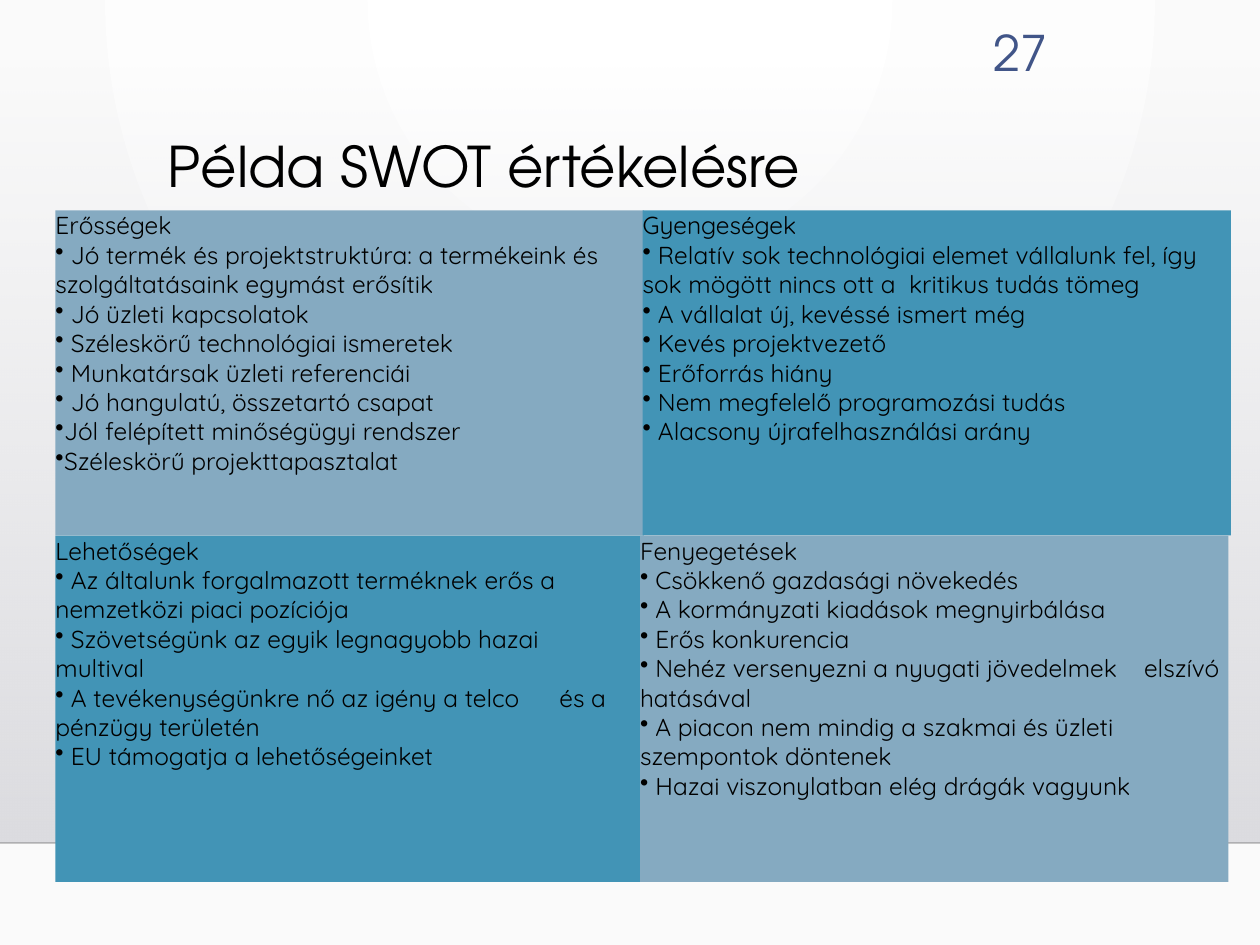
from dataclasses import dataclass

from lxml import etree
from pptx import Presentation
from pptx.dml.color import RGBColor
from pptx.enum.shapes import MSO_CONNECTOR as CONN, MSO_SHAPE as SHAPE
from pptx.enum.text import MSO_ANCHOR as ANCHOR, PP_ALIGN as ALIGN
from pptx.oxml import parse_xml
from pptx.oxml.ns import nsdecls, qn
from pptx.util import Inches, Pt


@dataclass(frozen=True)
class Theme:
    """Colours, fonts and type sizes of the slide."""
    ink: str = "000000"
    number: str = "415588"
    quadrants: tuple = ("85AAC1", "4294B6")
    backdrop: tuple = (("FFFFFF", 100), ("FAFAFA", 100))
    panel: tuple = (("DCDCE0", 0), ("DEDEE2", 100))
    rule: str = "000001"
    head_font: str = "TeX Gyre Adventor"
    body_font: str = "Quicksand"
    title_size: int = 32
    number_size: int = 28
    body_size: int = 14


THEME = Theme()
WIDTH, HEIGHT = 10, 7.5
FLOOR = 6.69
GRID_LEFT, COL_WIDTH = 0.44, 4.67
ROWS = ((1.67, 2.58, 4.66), (4.25, 2.75, 4.64))  # top, height, column step

SWOT = (
    (("Erősségek",
      " Jó termék és projektstruktúra: a termékeink és szolgáltatásaink egymást erősítik",
      " Jó üzleti kapcsolatok",
      " Széleskörű technológiai ismeretek",
      " Munkatársak üzleti referenciái",
      " Jó hangulatú, összetartó csapat",
      "Jól felépített minőségügyi rendszer",
      "Széleskörű projekttapasztalat"),
     ("Gyengeségek",
      " Relatív sok technológiai elemet vállalunk fel, így sok mögött nincs ott a  kritikus tudás tömeg",
      " A vállalat új, kevéssé ismert még",
      " Kevés projektvezető",
      " Erőforrás hiány",
      " Nem megfelelő programozási tudás",
      " Alacsony újrafelhasználási arány")),
    (("Lehetőségek",
      " Az általunk forgalmazott terméknek erős a nemzetközi piaci pozíciója",
      " Szövetségünk az egyik legnagyobb hazai \tmultival",
      " A tevékenységünkre nő az igény a telco \tés a pénzügy területén",
      " EU támogatja a lehetőségeinket"),
     ("Fenyegetések",
      " Csökkenő gazdasági növekedés",
      " A kormányzati kiadások megnyirbálása",
      " Erős konkurencia",
      " Nehéz versenyezni a nyugati jövedelmek \telszívó hatásával",
      " A piacon nem mindig a szakmai és üzleti \tszempontok döntenek",
      " Hazai viszonylatban elég drágák vagyunk")),
)


def box(left, top, width, height):
    """Convert a box in inches to slide units."""
    return [Inches(v) for v in (left, top, width, height)]


def set_font(p, name, size, color):
    """Format a whole paragraph."""
    p.font.name, p.font.size = name, Pt(size)
    p.font.color.rgb = RGBColor.from_string(color)


def set_gradient(fill_parent, stops, direction):
    """Replace the solid fill of an element by a gradient."""
    marks = "".join(
        f'<a:gs pos="{i * 100000}"><a:srgbClr val="{color}">'
        f'<a:alpha val="{alpha * 1000}"/></a:srgbClr></a:gs>'
        for i, (color, alpha) in enumerate(stops))
    grad = parse_xml(f'<a:gradFill {nsdecls("a")} rotWithShape="1">'
                     f'<a:gsLst>{marks}</a:gsLst>{direction}</a:gradFill>')
    solid = fill_parent.find(qn("a:solidFill"))
    fill_parent.replace(solid, grad)


def add_rect(slide, color, *place):
    """Add a plain filled rectangle."""
    sp = slide.shapes.add_shape(SHAPE.RECTANGLE, *box(*place))
    sp.shadow.inherit = False
    sp.fill.solid()
    sp.fill.fore_color.rgb = RGBColor.from_string(color)
    sp.line.fill.background()
    return sp


def add_backdrop(slide):
    """Set the round glow, the shaded panel and the floor line."""
    fill = slide.background.fill
    fill.solid()
    fill.fore_color.rgb = RGBColor.from_string(THEME.backdrop[0][0])
    bg = next(slide.element.iter(qn("p:bgPr")))
    set_gradient(bg, THEME.backdrop,
                 '<a:path path="circle"><a:fillToRect l="43000" t="0" '
                 'r="43000" b="100000"/></a:path>')

    panel = add_rect(slide, THEME.panel[0][0], 0, 0.51, WIDTH, FLOOR - 0.51)
    set_gradient(panel.element.spPr, THEME.panel, '<a:lin ang="5400000" scaled="0"/>')

    rule = slide.shapes.add_connector(CONN.STRAIGHT, *box(0, FLOOR, WIDTH, FLOOR))
    rule.line.width = Pt(1)
    rule.line.color.rgb = RGBColor.from_string(THEME.rule)
    color = next(rule.element.spPr.iter(qn("a:srgbClr")))
    etree.SubElement(color, qn("a:alpha")).set("val", "20000")
    etree.SubElement(rule.element.spPr, qn("a:effectLst"))


def add_number(slide, text):
    """Add the page number."""
    tf = slide.shapes.add_textbox(*box(7.54, 0.14, 0.87, 0.55)).text_frame
    tf.word_wrap, tf.vertical_anchor = True, ANCHOR.MIDDLE
    p = tf.paragraphs[0]
    p.text, p.alignment = text, ALIGN.RIGHT
    set_font(p, THEME.head_font, THEME.number_size, THEME.number)


def set_title(slide, text):
    """Place and format the title placeholder."""
    title = slide.shapes.title
    title.left, title.top, title.width, title.height = box(1.23, 1.05, 7.19, 1.15)
    tf = title.text_frame
    tf.word_wrap, tf.vertical_anchor = True, ANCHOR.TOP
    p = tf.paragraphs[0]
    p.text, p.alignment, p.line_spacing = text, ALIGN.LEFT, 0.9
    set_font(p, THEME.head_font, THEME.title_size, THEME.ink)


def add_bullet(p):
    """Give a paragraph a flush round bullet."""
    pPr = p._p.get_or_add_pPr()
    pPr.set("marL", "0")
    pPr.set("indent", "0")
    pPr.insert_element_before(
        parse_xml(f'<a:buChar {nsdecls("a")} char="•"/>'),
        "a:tabLst", "a:defRPr", "a:extLst")


def add_quadrant(slide, row, col, lines):
    """Add one SWOT field: a heading followed by bullets."""
    top, height, step = ROWS[row]
    sp = add_rect(slide, THEME.quadrants[(row + col) % 2],
                  GRID_LEFT + col * step, top, COL_WIDTH, height)
    tf = sp.text_frame
    tf.word_wrap, tf.vertical_anchor = True, ANCHOR.TOP
    tf.margin_left = tf.margin_top = tf.margin_right = tf.margin_bottom = 0
    for i, line in enumerate(lines):
        p = tf.add_paragraph() if i else tf.paragraphs[0]
        p.text, p.alignment = line, ALIGN.LEFT
        set_font(p, THEME.body_font, THEME.body_size, THEME.ink)
        if i:
            add_bullet(p)


def main():
    """Build and save the slide."""
    prs = Presentation()
    prs.slide_width, prs.slide_height = Inches(WIDTH), Inches(HEIGHT)
    slide = prs.slides.add_slide(prs.slide_layouts[5])
    add_backdrop(slide)
    # The title belongs above the shaded panel.
    slide.shapes.title.element.getparent().append(slide.shapes.title.element)
    add_number(slide, "27")
    set_title(slide, "Példa SWOT értékelésre")
    for row, fields in enumerate(SWOT):
        for col, lines in enumerate(fields):
            add_quadrant(slide, row, col, lines)
    prs.save("out.pptx")


main()
